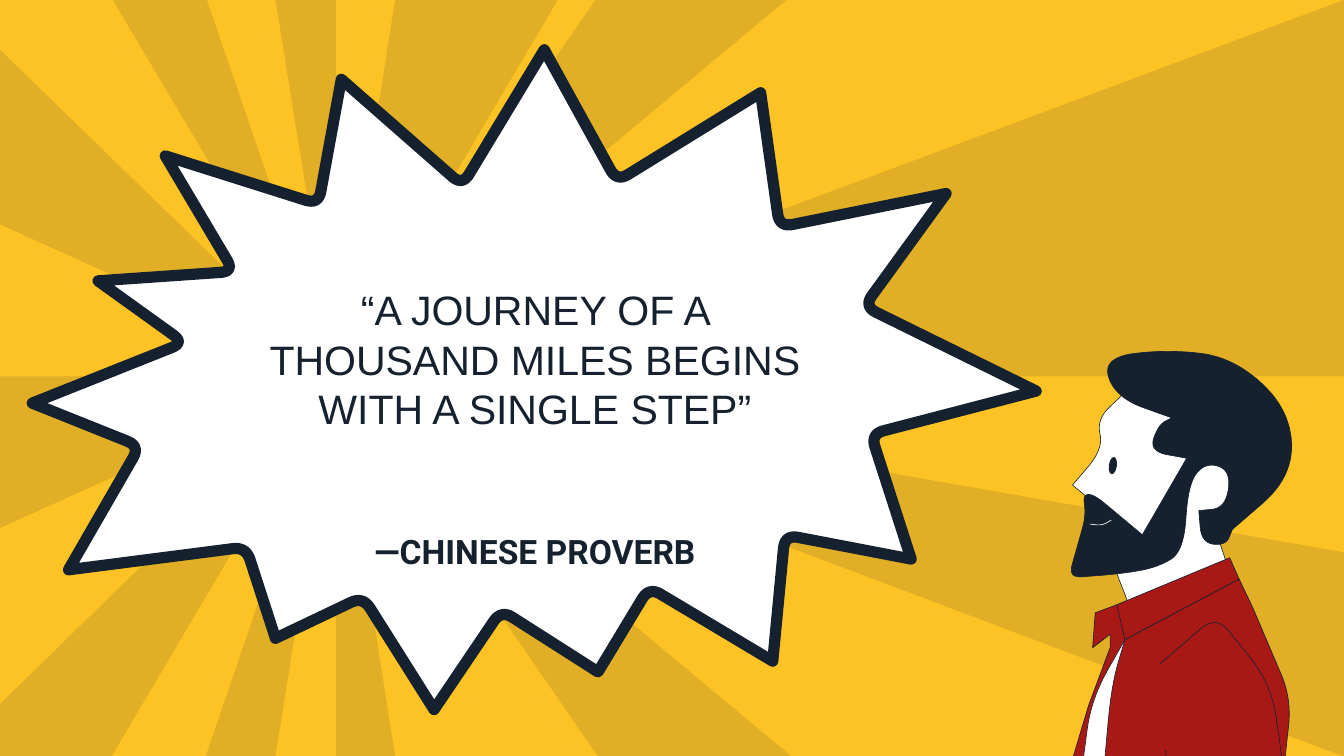
from math import dist

from pptx import Presentation
from pptx.dml.color import RGBColor
from pptx.enum.shapes import MSO_SHAPE
from pptx.enum.text import MSO_ANCHOR, PP_ALIGN
from pptx.util import Cm, Pt

CENTER = PP_ALIGN.CENTER
TOP = MSO_ANCHOR.TOP
OVAL = MSO_SHAPE.OVAL
INCH = 2.54
RIGHT, BOTTOM = 10, 5.63
BLEED = 5.65
NAVY, RED, WHITE, YELLOW, OCHRE = "162130", "A81916", "FFFFFF", "FDC324", "E1AF25"
THIN, THICK = 0.35, 6
NOTCH_CUT = 0.1
FULL = 9
CURVE_STEPS = 12


def color(hex_string):
    return RGBColor.from_string(hex_string)


def draw(vertices, fill=None, line=None, width=THIN):
    # A vertex is (x, y), or (x, y, cut): cut is how far from it, along both
    # edges, its rounding begins; FULL rounds it from edge middle to edge middle.
    points = []
    for index, (x, y, *cut) in enumerate(vertices):
        if not cut:
            points.append((x, y))
            continue
        ends = []
        for neighbour in (vertices[index - 1], vertices[(index + 1) % len(vertices)]):
            share = min(cut[0] / dist((x, y), neighbour[:2]), 0.5)
            ends.append((x + share * (neighbour[0] - x), y + share * (neighbour[1] - y)))
        (start_x, start_y), (end_x, end_y) = ends
        for step in range(CURVE_STEPS + 1):
            t = step / CURVE_STEPS
            before, middle, after = (1 - t) ** 2, 2 * t * (1 - t), t ** 2
            points.append((before * start_x + middle * x + after * end_x,
                           before * start_y + middle * y + after * end_y))
    points = [(Cm(x * INCH), Cm(y * INCH)) for x, y in points]
    builder = slide.shapes.build_freeform(*points[0], scale=1.0)
    builder.add_line_segments(points[1:], close=fill is not None)
    shape = builder.convert_to_shape()
    shape.shadow.inherit = False
    if fill:
        shape.fill.solid()
        shape.fill.fore_color.rgb = color(fill)
    else:
        shape.fill.background()
    if line:
        shape.line.color.rgb = color(line)
        shape.line.width = Pt(width)
    else:
        shape.line.fill.background()


presentation = Presentation()
presentation.slide_width = Cm(RIGHT * INCH)
presentation.slide_height = Cm(5.625 * INCH)
slide = presentation.slides.add_slide(presentation.slide_layouts[6])
slide.background.fill.solid()
slide.background.fill.fore_color.rgb = color(YELLOW)

ray_center = (2.5, 2.8)
top_spans = [(0.84, 1.54), (2.05, 2.5), (2.94, 4.15), (4.43, 5.85)]
bottom_spans = [(-0.4, 0.83), (1.53, 2.05), (2.5, 2.94), (4.45, 5.89)]
left_spans = [(0.37, 1.67), (2.8, 3.93)]
right_spans = [(0, 2.8), (4.11, BOTTOM)]
for y, spans in ((0, top_spans), (BOTTOM, bottom_spans)):
    for start, end in spans:
        draw([ray_center, (start, y), (end, y)], OCHRE)
for x, spans in ((0, left_spans), (RIGHT, right_spans)):
    for start, end in spans:
        draw([ray_center, (x, start), (x, end)], OCHRE)

burst_tips = [
    (4.05, 0.37), (2.54, 0.59), (1.23, 1.16), (0.73, 2.09), (0.24, 3), (0.51, 4.24), (2.05, 4.75),
    (3.23, 5.28), (4.45, 5), (5.75, 4.92), (6.78, 4.16), (7.71, 2.91), (7.04, 1.44), (5.66, 0.69),
]
burst_notches = [
    (3.44, 1.38), (2.37, 1.52), (1.74, 2.02), (1.37, 2.55), (1.04, 3.32), (1.83, 4.07), (2.7, 4.44),
    (3.73, 4.54), (4.83, 4.37), (5.84, 3.98), (6.48, 3.23), (6.43, 2.28), (5.8, 1.69), (4.59, 1.35),
]
burst = []
for tip, notch in zip(burst_tips, burst_notches):
    burst += [tip, (*notch, NOTCH_CUT)]
draw(burst, WHITE, NAVY, THICK)

texts = [
    ("—CHINESE PROVERB", 2.5, 3.85, 2.96, 0.46, "Roboto", 18, True),
    ("“A JOURNEY OF A THOUSAND MILES BEGINS WITH A SINGLE STEP”",
     1.78, 2.02, 4.4, 1.59, "Arial", 22, False),
]
for text, left, top, width, height, font_name, size, bold in texts:
    box = slide.shapes.add_textbox(*[Cm(value * INCH) for value in (left, top, width, height)])
    text_frame = box.text_frame
    text_frame.word_wrap = True
    text_frame.vertical_anchor = TOP
    text_frame.margin_left = text_frame.margin_right = Cm(0.25)
    text_frame.margin_top = text_frame.margin_bottom = Cm(0.25)
    text_frame.text = text
    paragraph = text_frame.paragraphs[0]
    paragraph.alignment = CENTER
    font = paragraph.runs[0].font
    font.name = font_name
    font.size = Pt(size)
    font.bold = bold
    font.color.rgb = color(NAVY)

neck = (8.31, 4.5)
collar_front = (8.37, 4.76)
collar_back = (9.22, 4.31)

far_collar = [
    neck, (8.45, 4.6), (8.43, 4.81), (8.29, BLEED), (7.98, BLEED),
    (8.1, 5.25), (8.26, 4.82), (8.26, 4.72), (8.13, 4.82), (8.15, 4.56),
]
forehead = [(8.35, 2.94), (8.16, 3.12, FULL), (8.21, 3.34, FULL)]
nose = [(7.98, 3.61), (8.09, 3.7)]
nape = [(8.4, 4.5), (9.14, 4.23), (9.06, 3.99), (9.39, 3.66), (9.2, 2.95)]

crown = [
    (8.3, 2.96, FULL), (8.2, 2.66, FULL), (8.69, 2.6, FULL),
    (9.18, 2.66, FULL), (9.6, 3.05, FULL), (9.62, 3.55, FULL),
]
hair_behind_ear = [(9.17, 3.94), (9.12, 4.06, FULL), (8.94, 4.04, FULL), (8.92, 3.8)]
ear = [(9.12, 3.78, FULL), (9.16, 3.5, FULL), (8.97, 3.44, FULL), (8.84, 3.6, FULL)]
beard = [
    (8.81, 4.1, FULL), (8.62, 4.22, FULL), (8.35, 4.27, 0.3), (7.95, 4.3, 0.1),
    (8.08, 3.84, 0.1), (8.06, 3.68, 0.06), (8.14, 3.68, 0.1), (8.5, 3.98),
]
sideburn = [(8.83, 3.41), (8.55, 3.36, FULL), (8.62, 3.16, FULL), (8.72, 3.11)]

mouth = [(8.27, 3.87), (8.2, 3.91, FULL), (8.11, 3.9)]
near_collar = [(9.15, 4.15), collar_back, collar_front, neck]
undershirt = [collar_front, (8.25, BLEED), (8.06, BLEED), (8.12, 5.2, FULL)]
shirt = [
    collar_back, (9.32, 4.52), (9.61, 5.2, 0.2), (9.56, BLEED),
    (8.22, BLEED), (8.27, 5.1, 0.3), collar_front,
]
sleeve_seam = [(8.63, 4.94), (9.05, 4.58, 0.15), (9.46, 5.09, 0.25), (9.54, BLEED)]
cuff_seam = [(8.67, 5.58), (8.68, BLEED)]

man_parts = [
    (far_collar, RED, NAVY),
    (forehead + nose + nape, WHITE, NAVY),
    (crown + hair_behind_ear + ear + beard + sideburn, NAVY, NAVY),
    (mouth, None, WHITE),
    (near_collar, RED, NAVY),
    (undershirt, WHITE, NAVY),
    (shirt, RED, NAVY),
    (sleeve_seam, None, NAVY),
    (cuff_seam, None, NAVY),
]
for vertices, fill, line in man_parts:
    draw(vertices, fill, line)

eye = slide.shapes.add_shape(OVAL, *[Cm(value * INCH) for value in (8.25, 3.4, 0.06, 0.13)])
eye.rotation = 8
eye.shadow.inherit = False
eye.fill.solid()
eye.fill.fore_color.rgb = color(NAVY)
eye.line.fill.background()

presentation.save("out.pptx")
